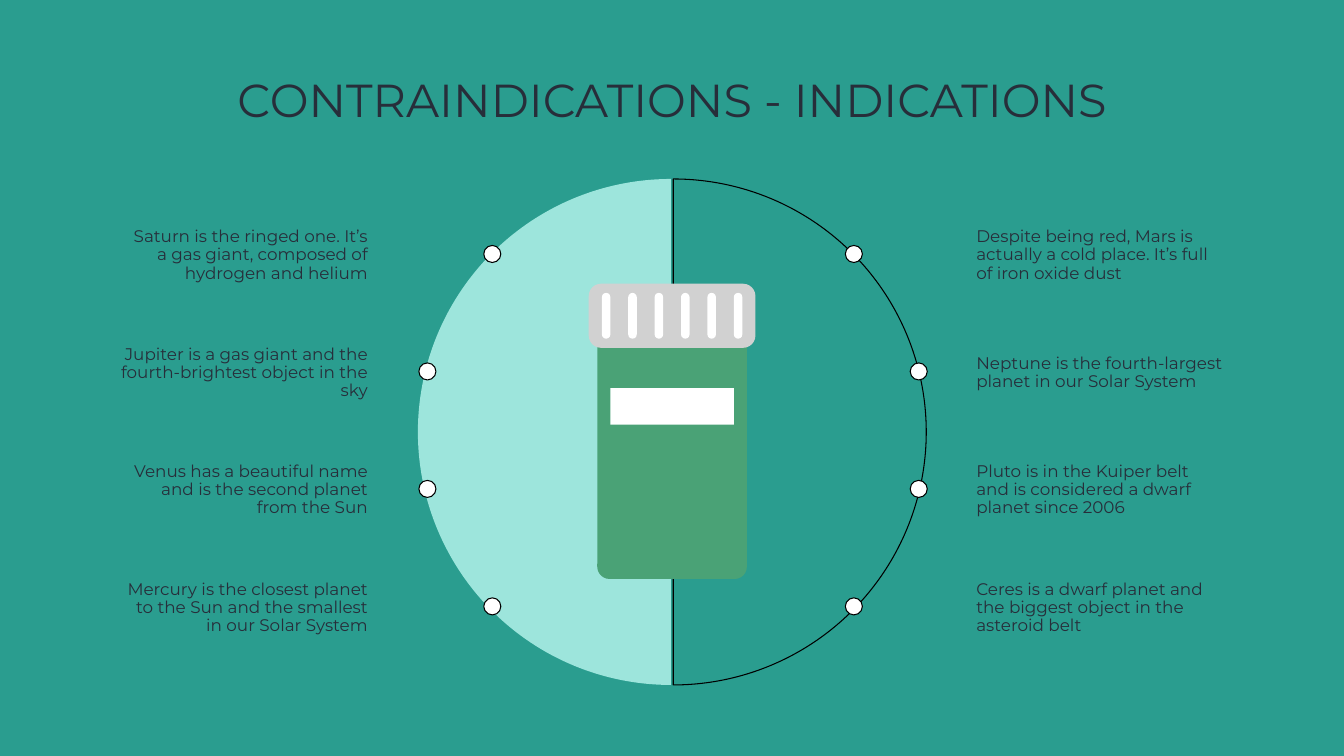
from pptx import Presentation
from pptx.dml.color import RGBColor
from pptx.enum.shapes import MSO_SHAPE
from pptx.enum.text import MSO_ANCHOR, PP_ALIGN
from pptx.util import Cm, Pt

COLORS = {
    "background": "2A9D8F",
    "half": "9DE5DC",
    "text": "272E3A",
    "line": "000000",
    "white": "FFFFFF",
    "bottle": "4AA276",
    "cap": "D1D1D1",
}
FONT = "Montserrat"
ROW_STEP = 5.92

CONTRAINDICATIONS = [
    "Saturn is the ringed one. It’s a gas giant, composed of hydrogen and helium",
    "Jupiter is a gas giant and the fourth-brightest object in the sky",
    "Venus has a beautiful name and is the second planet from the Sun",
    "Mercury is the closest planet to the Sun and the smallest in our Solar System",
]
INDICATIONS = [
    "Despite being red, Mars is actually a cold place. It’s full of iron oxide dust",
    "Neptune is the fourth-largest planet in our Solar System",
    "Pluto is in the Kuiper belt and is considered a dwarf planet since 2006",
    "Ceres is a dwarf planet and the biggest object in the asteroid belt",
]


def rgb(name):
    return RGBColor.from_string(COLORS[name])


def add_shape(shapes, kind, x, y, w, h, fill=None, line=None, adjust=()):
    sp = shapes.add_shape(kind, Cm(x), Cm(y), Cm(w), Cm(h))
    sp.shadow.inherit = False
    for i, value in enumerate(adjust):
        sp.adjustments[i] = value
    if fill:
        sp.fill.solid()
        sp.fill.fore_color.rgb = rgb(fill)
    else:
        sp.fill.background()
    if line:
        sp.line.color.rgb = rgb(line)
        sp.line.width = Pt(1.5)
    else:
        sp.line.fill.background()
    return sp


def add_text(s, text, x, y, w, h, size=24, align=PP_ALIGN.LEFT):
    tf = s.shapes.add_textbox(Cm(x), Cm(y), Cm(w), Cm(h)).text_frame
    tf.word_wrap = True
    tf.vertical_anchor = MSO_ANCHOR.MIDDLE
    tf.margin_left = tf.margin_right = tf.margin_top = tf.margin_bottom = Cm(0.69)
    p = tf.paragraphs[0]
    p.alignment = align
    p.line_spacing = 0.9
    r = p.add_run()
    r.text = text
    r.font.name = FONT
    r.font.size = Pt(size)
    r.font.color.rgb = rgb("text")


def split_circle(s, x, y, size):
    """Filled left half, outlined right half and four dots along each side."""
    # Chord adjustments count 0.6 per degree: 54 is the bottom, 162 the top.
    bottom, top = 54, 162
    gap = 0.12
    add_shape(s.shapes, MSO_SHAPE.CHORD, x, y, size, size,
              fill="half", adjust=(bottom, top))
    add_shape(s.shapes, MSO_SHAPE.CHORD, x + gap, y, size, size,
              line="line", adjust=(top, bottom))

    dot = 0.86
    center_x = x + gap + size / 2 - 0.01
    first_y = y + 3.78
    for side in (1, -1):
        for row, offset in enumerate((9.11, 12.38, 12.38, 9.11)):
            add_shape(s.shapes, MSO_SHAPE.OVAL,
                      center_x + side * offset - dot / 2,
                      first_y + row * ROW_STEP - dot / 2,
                      dot, dot, fill="white", line="line")


def text_column(s, texts, x, y, w, align):
    for row, text in enumerate(texts):
        add_text(s, text, x, y + row * ROW_STEP, w, 3.71, align=align)


def pill_bottle(s, x, y, w, h):
    shapes = s.shapes.add_group_shape().shapes
    radius = 0.62
    body_w, cap_h = w - 0.86, 3.23
    add_shape(shapes, MSO_SHAPE.ROUNDED_RECTANGLE, x + 0.43, y + 0.3,
              body_w, h - 0.3, fill="bottle", adjust=(radius / body_w,))
    add_shape(shapes, MSO_SHAPE.ROUNDED_RECTANGLE, x, y, w, cap_h,
              fill="cap", adjust=(radius / cap_h,))
    for i in range(6):
        add_shape(shapes, MSO_SHAPE.ROUNDED_RECTANGLE, x + 0.66 + i * 1.33,
                  y + 0.46, 0.43, 2.31, fill="white", adjust=(0.5,))
    add_shape(shapes, MSO_SHAPE.RECTANGLE, x + 1.09, y + 5.26,
              w - 2.18, 1.84, fill="white")


def main():
    prs = Presentation()
    prs.slide_width, prs.slide_height = Cm(67.73), Cm(38.1)
    s = prs.slides.add_slide(prs.slide_layouts[6])
    s.background.fill.solid()
    s.background.fill.fore_color.rgb = rgb("background")

    split_circle(s, 21.06, 9.02, 25.5)
    text_column(s, CONTRAINDICATIONS, 5.33, 11.02, 13.89, PP_ALIGN.RIGHT)
    text_column(s, INDICATIONS, 48.51, 11.02, 13.89, PP_ALIGN.LEFT)
    pill_bottle(s, 29.67, 14.3, 8.4, 14.88)
    add_text(s, "CONTRAINDICATIONS - INDICATIONS", 5.33, 3.99, 57.07, 2.36,
             size=66, align=PP_ALIGN.CENTER)
    prs.save("out.pptx")


if __name__ == "__main__":
    main()
